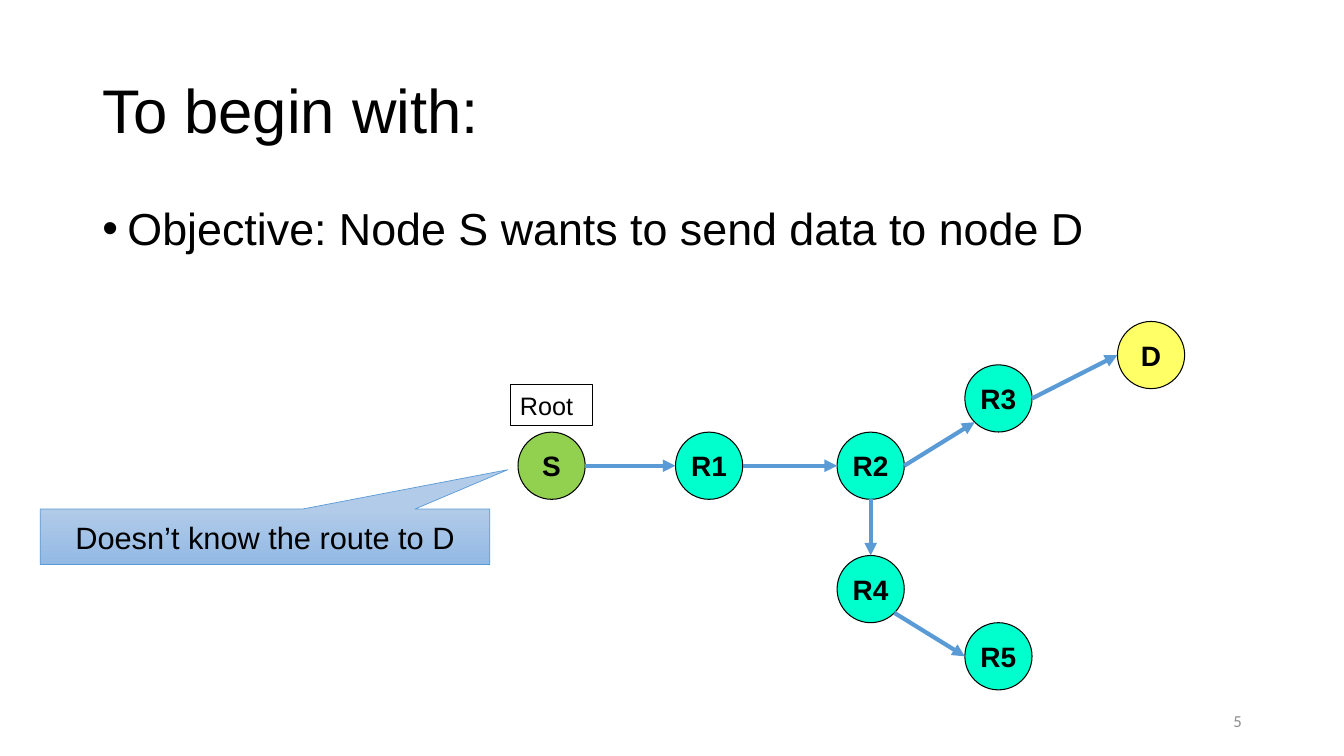
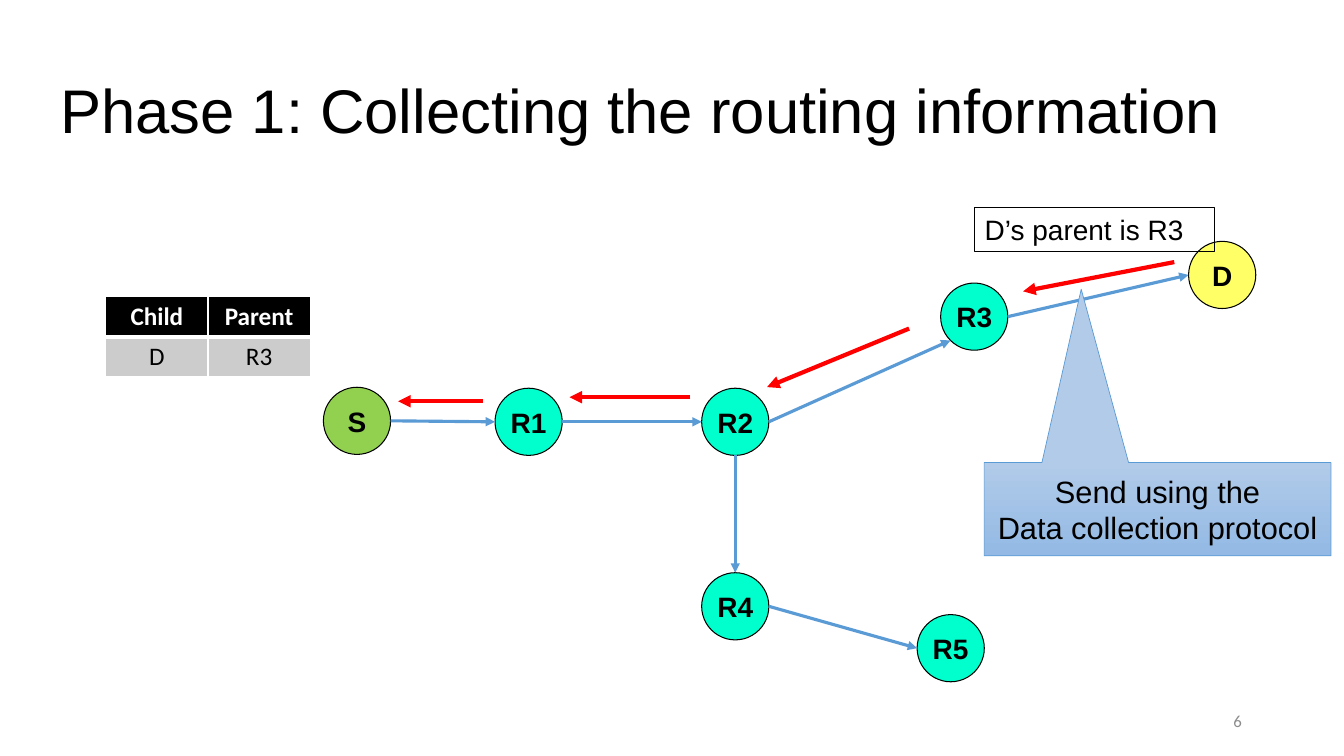
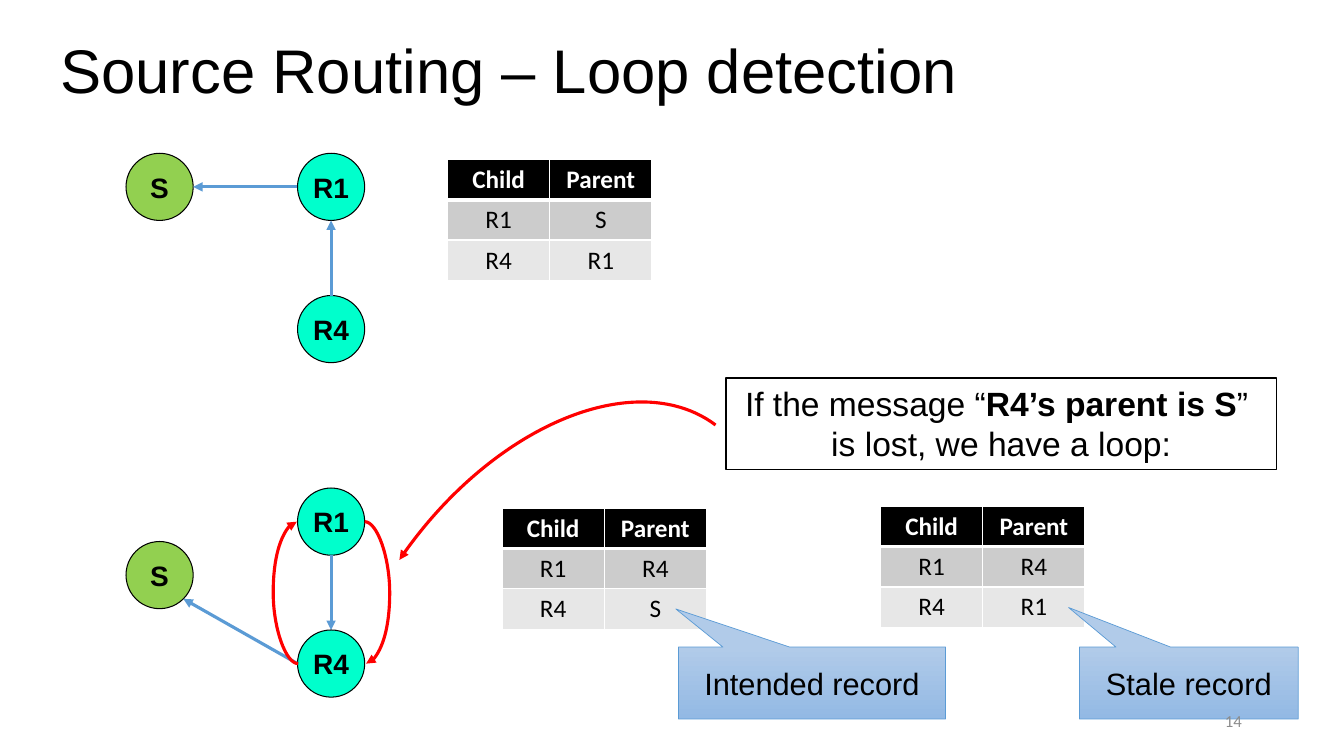
import math
import pptx
import pptx.dml.color
import pptx.enum.shapes
import pptx.enum.text
import pptx.oxml
import pptx.oxml.ns
import pptx.util

Pt = pptx.util.Pt
qn = pptx.oxml.ns.qn
SHAPE = pptx.enum.shapes.MSO_SHAPE
CONNECTOR = pptx.enum.shapes.MSO_CONNECTOR
ALIGN = pptx.enum.text.PP_ALIGN
ANCHOR = pptx.enum.text.MSO_ANCHOR

BLACK, WHITE, BLUE, RED = "000000", "FFFFFF", "5B9BD5", "FF0000"
NODE_FILLS = {"S": "92D050", "R": "00FFCC", "D": "FFFF66"}
NODE_SIZE = 48
ROW_FILLS = [BLACK, "CCCCCC", "E7E7E7"]
COL_WIDTH, ROW_HEIGHT = 73, 28.8
SITES = {"right": 0, "low right": 45, "bottom": 90, "low left": 135, "left": 180, "top": 270}

FONTS = {
    "title": {"name": "Arial", "size": Pt(44)},
    "body": {"name": "Arial", "size": Pt(32)},
    "message": {"name": "Arial", "size": Pt(24)},
    "callout": {"name": "Arial", "size": Pt(22)},
    "label": {"name": "Arial", "size": Pt(20)},
    "tag": {"name": "Arial", "size": Pt(18)},
    "node": {"name": "Arial", "size": Pt(20), "bold": True},
    "head": {"name": "Calibri", "size": Pt(18), "bold": True},
    "cell": {"name": "Calibri", "size": Pt(18), "bold": False},
    "number": {"name": "Calibri", "size": Pt(12)},
}
COLOURS = {"head": WHITE, "number": "8C8C8C"}


def rgb(value):
    return pptx.dml.color.RGBColor.from_string(value)


def xml(tag, attributes, content=""):
    return pptx.oxml.parse_xml(
        f'<a:{tag} {pptx.oxml.ns.nsdecls("a")} {attributes}>{content}</a:{tag}>')


def set_all(target, values):
    for name, value in values.items():
        setattr(target, name, value)


def write(tf, paragraphs, style, frame=None, para=None):
    set_all(tf, {"word_wrap": True, **(frame or {})})
    for i, runs in enumerate(paragraphs):
        p = tf.paragraphs[0] if i == 0 else tf.add_paragraph()
        set_all(p, para or {})
        for text, extra in runs:
            r = p.add_run()
            r.text = text
            set_all(r.font, {**FONTS[style], **extra})
            r.font.color.rgb = rgb(COLOURS.get(style, BLACK))


def plain(*lines):
    return [[(line, {})] for line in lines]


def set_line(sp, colour, width, arrow=None):
    sp.line.color.rgb = rgb(colour)
    sp.line.width = Pt(width)
    if arrow:
        sp._element.spPr.find(qn("a:ln")).append(xml(arrow, 'type="triangle"'))


def add_text(slide, box, paragraphs, style, frame=None, para=None):
    sp = slide.shapes.add_textbox(*map(Pt, box))
    write(sp.text_frame, paragraphs, style, frame, para)
    return sp


def add_title(slide, box, text):
    add_text(slide, box, plain(text), "title",
             {"vertical_anchor": ANCHOR.MIDDLE}, {"line_spacing": 0.9})


def add_number(slide, number):
    add_text(slide, (678.2, 500.4, 216, 28.8), plain(str(number)), "number",
             {"vertical_anchor": ANCHOR.MIDDLE}, {"alignment": ALIGN.RIGHT})


def add_bullet(slide, box, text):
    sp = add_text(slide, box, plain(text), "body",
                  para={"line_spacing": 0.9, "space_before": Pt(10)})
    pPr = sp.text_frame.paragraphs[0]._p.get_or_add_pPr()
    pPr.set("marL", str(Pt(18)))
    pPr.set("indent", str(-Pt(18)))
    pPr.append(xml("buFont", 'typeface="Arial"'))
    pPr.append(xml("buChar", 'char="•"'))


def add_framed(slide, box, paragraphs, style, para=None):
    set_line(add_text(slide, box, paragraphs, style, para=para), BLACK, 0.75)


def add_callout(slide, box, tip, *lines):
    sp = slide.shapes.add_shape(SHAPE.RECTANGULAR_CALLOUT, *map(Pt, box))
    sp.shadow.inherit = False
    sp.adjustments[0], sp.adjustments[1] = tip
    sp.fill.gradient()
    sp.fill.gradient_angle = 270
    for stop, colour in zip(sp.fill.gradient_stops, ("B1CBE9", "93B9E4")):
        stop.color.rgb = rgb(colour)
    set_line(sp, BLUE, 0.5)
    write(sp.text_frame, plain(*lines), "callout",
          {"word_wrap": False, "vertical_anchor": ANCHOR.MIDDLE}, {"alignment": ALIGN.CENTER})


def add_arrow(slide, start, end, colour, width, kind=CONNECTOR.STRAIGHT):
    sp = slide.shapes.add_connector(kind, *map(Pt, (*start, *end)))
    set_line(sp, colour, width, "tailEnd")
    sp._element.spPr.append(xml("effectLst", ""))
    return sp


def add_loop_side(slide, x, top, bottom, bulge, turned):
    sp = add_arrow(slide, (x, top), (x + 1, bottom), RED, 2.25, CONNECTOR.CURVE)
    spPr = sp._element.spPr
    guides = spPr.find(qn("a:prstGeom")).get_or_add_avLst()
    guides.append(xml("gd", f'name="adj1" fmla="val {bulge * 100000}"'))
    if turned:
        spPr.find(qn("a:xfrm")).set("rot", "10800000")


def add_pointer_arc(slide, box, rotation, start):
    sp = slide.shapes.add_shape(SHAPE.ARC, *map(Pt, box))
    sp.shadow.inherit = False
    sp.fill.background()
    sp.rotation = rotation
    sp.adjustments[0], sp.adjustments[1] = start, 0
    set_line(sp, RED, 2.25, "headEnd")


def add_node(slide, centre, name):
    x, y = (Pt(c - NODE_SIZE / 2) for c in centre)
    sp = slide.shapes.add_shape(SHAPE.OVAL, x, y, Pt(NODE_SIZE), Pt(NODE_SIZE))
    sp.shadow.inherit = False
    sp.fill.solid()
    sp.fill.fore_color.rgb = rgb(NODE_FILLS[name[0]])
    set_line(sp, BLACK, 0.75)
    write(sp.text_frame, plain(name), "node",
          {"word_wrap": False, "vertical_anchor": ANCHOR.MIDDLE}, {"alignment": ALIGN.CENTER})


def node_site(centre, site):
    angle = math.radians(SITES[site])
    return (centre[0] + NODE_SIZE / 2 * math.cos(angle),
            centre[1] + NODE_SIZE / 2 * math.sin(angle))


def add_network(slide, left, top, nodes, links, width, messages=()):
    centres = {name: (left + x, top + y) for name, (x, y) in nodes.items()}
    for name, centre in centres.items():
        add_node(slide, centre, name)
    for source, out, target, into in links:
        add_arrow(slide, node_site(centres[source], out),
                  node_site(centres[target], into), BLUE, width)
    for x1, y1, x2, y2 in messages:
        add_arrow(slide, (left + x1, top + y1), (left + x2, top + y2), RED, 3)


def set_borders(cell, bottom):
    tcPr = cell._tc.get_or_add_tcPr()
    fill = f'<a:solidFill><a:srgbClr val="{WHITE}"/></a:solidFill>'
    for i, (side, width) in enumerate((("L", 1), ("R", 1), ("T", 1), ("B", bottom))):
        tcPr.insert(i, xml(f"ln{side}", f'w="{Pt(width)}"', fill))


def add_parent_table(slide, left, top, *records):
    rows = [("Child", "Parent"), *records]
    table = slide.shapes.add_table(len(rows), 2, Pt(left), Pt(top), Pt(2 * COL_WIDTH),
                                   Pt(len(rows) * ROW_HEIGHT)).table
    for col in table.columns:
        col.width = Pt(COL_WIDTH)
    for i, row in enumerate(rows):
        table.rows[i].height = Pt(ROW_HEIGHT)
        for j, text in enumerate(row):
            cell = table.cell(i, j)
            cell.fill.solid()
            cell.fill.fore_color.rgb = rgb(ROW_FILLS[i])
            set_borders(cell, 1 if i else 3)
            write(cell.text_frame, plain(text), "cell" if i else "head",
                  para={"alignment": ALIGN.CENTER})


def tree_links(r4_exit):
    return [("S", "right", "R1", "left"), ("R1", "right", "R2", "left"),
            ("R2", "right", "R3", "low left"), ("R3", "right", "D", "left"),
            ("R2", "bottom", "R4", "top"), ("R4", r4_exit, "R5", "left")]


def build_objective(slide):
    add_title(slide, (66, 28.8, 828, 104.4), "To begin with:")
    add_bullet(slide, (66, 144, 828, 342.7), "Objective: Node S wants to send data to node D")
    add_callout(slide, (28.8, 363.6, 321.1, 39.6), (0.54, -1.21), "Doesn’t know the route to D")
    nodes = {"R1": (136.5, 102.7), "S": (24, 102.7), "R3": (343.2, 54.6), "R2": (251.9, 102.7),
             "D": (452.2, 23.6), "R4": (251.9, 190.8), "R5": (343.2, 238.8)}
    add_network(slide, 370, 230, nodes, tree_links("low right"), 3)
    add_framed(slide, (364.3, 275, 59, 28.8), plain("Root"), "tag")
    add_number(slide, 5)


def build_collecting(slide):
    add_title(slide, (36, 28.8, 875.5, 104.4), "Phase 1: Collecting the routing information")
    nodes = {"R1": (146.6, 129.3), "S": (24, 128.6), "R3": (464.9, 54.2),
             "R2": (294.2, 129.3), "D": (642, 24.4), "R4": (294.2, 261.1), "R5": (448.1, 291)}
    messages = [(418.4, 62.7, 316.9, 104.5), (607.8, 15.2, 499.8, 36.1),
                (262.2, 111.7, 175.8, 111.7), (113.9, 114.6, 53.4, 114.6)]
    add_network(slide, 231, 172, nodes, tree_links("right"), 2.25, messages)
    add_framed(slide, (696.2, 148.3, 171.4, 31.7), plain("D’s parent is R3"), "label")
    add_parent_table(slide, 75.6, 211.7, ("D", "R3"))
    add_callout(slide, (703, 330.4, 247.7, 66.6), (-0.22, -2.36),
                "Send using the", "Data collection protocol")
    add_number(slide, 6)


def build_loop(slide):
    add_title(slide, (36, 0, 875.5, 104.4), "Source Routing – Loop detection")
    add_network(slide, 90, 109.5, {"R1": (146.5, 24), "S": (24, 24), "R4": (146.5, 125.6)},
                [("R1", "left", "S", "right"), ("R4", "top", "R1", "bottom")], 2.25)
    add_network(slide, 90, 348, {"R1": (146.5, 24.6), "S": (24, 62.8), "R4": (146.5, 126)},
                [("R4", "left", "S", "low right"), ("R1", "bottom", "R4", "top")], 2.25)
    add_parent_table(slide, 629, 361.6, ("R1", "R4"), ("R4", "R1"))
    message = [[("If the message “", {}), ("R4’s parent is S", {"bold": True}), ("” ", {})],
               *plain("is lost, we have a loop:")]
    add_framed(slide, (518.6, 270, 393.1, 65.5), message, "message", {"alignment": ALIGN.CENTER})
    add_parent_table(slide, 319.7, 113.8, ("R1", "S"), ("R4", "R1"))
    add_parent_table(slide, 358.6, 362.9, ("R1", "R4"), ("R4", "S"))
    for x, turned in ((260.5, False), (212, True)):
        add_loop_side(slide, x, 372.6, 474, 18, turned)
    add_pointer_arc(slide, (195.1, 338.4, 394.6, 245.5), 307, 157.66)
    add_callout(slide, (484.6, 462.2, 190.8, 51.4), (-0.51, -1.03), "Intended record")
    add_callout(slide, (771.1, 462.2, 156.2, 51.4), (-0.55, -1.05), "Stale record")
    add_number(slide, 14)


def main():
    prs = pptx.Presentation()
    prs.slide_width, prs.slide_height = Pt(960), Pt(540)
    for build in (build_objective, build_collecting, build_loop):
        build(prs.slides.add_slide(prs.slide_layouts[6]))
    prs.save("out.pptx")


if __name__ == "__main__":
    main()
